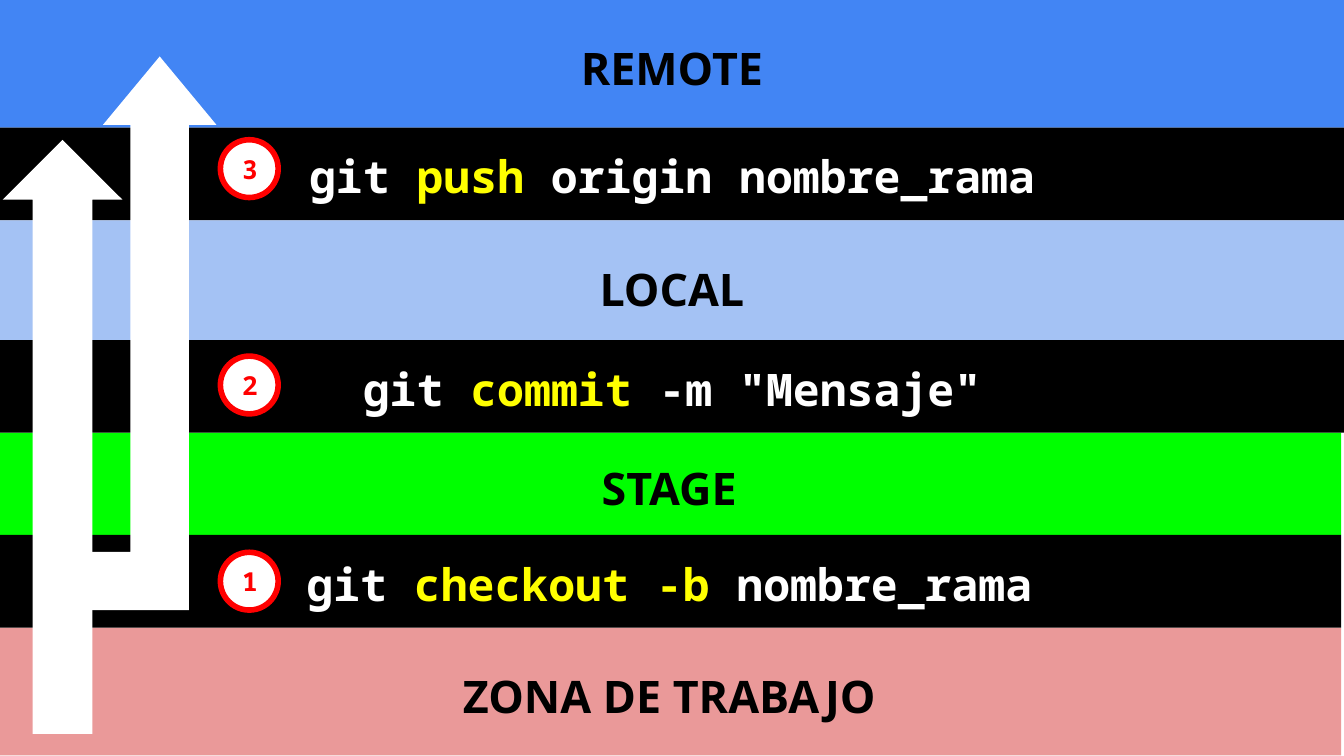
from pptx import Presentation
from pptx.dml.color import RGBColor
from pptx.enum.shapes import MSO_SHAPE as SHAPE
from pptx.enum.text import MSO_ANCHOR as ANCHOR, PP_ALIGN as ALIGN
from pptx.util import Inches, Pt

COLORS = {
    "remote": "4285F4",
    "local": "A4C2F4",
    "stage": "00FF00",
    "work": "EA9999",
    "black": "000000",
    "white": "FFFFFF",
    "keyword": "FFFF00",
    "badge": "FF0000",
}
SANS, MONO = "Open Sans", "Noto Sans Mono"


def rgb(name):
    return RGBColor.from_string(COLORS[name])


def write(sp, runs, font, size, align=ALIGN.CENTER, anchor=ANCHOR.MIDDLE,
          line_spacing=None, space_after=None):
    """Fill a shape with one bold paragraph of (text, colour) runs."""
    tf = sp.text_frame
    tf.word_wrap = True
    tf.vertical_anchor = anchor
    tf.margin_left = tf.margin_right = Inches(0.1)
    tf.margin_top = tf.margin_bottom = Inches(0.1)
    p = tf.paragraphs[0]
    p.alignment = align
    if line_spacing:
        p.line_spacing = line_spacing
    if space_after:
        p.space_after = Pt(space_after)
    for text, color in runs:
        r = p.add_run()
        r.text = text
        r.font.name = font
        r.font.size = Pt(size)
        r.font.bold = True
        r.font.color.rgb = rgb(color)


class GitSlide:
    band_text = dict(size=24, line_spacing=1.15, space_after=12)
    band_width = 10
    command_height = 0.69
    badge_size = 0.43

    def __init__(self, prs):
        self.s = prs.slides.add_slide(prs.slide_layouts[6])

    def shape(self, kind, box, fill):
        sp = self.s.shapes.add_shape(kind, *map(Inches, box))
        sp.shadow.inherit = False
        sp.fill.solid()
        sp.fill.fore_color.rgb = rgb(fill)
        sp.line.fill.background()
        return sp

    def zone(self, left, top, height, fill, name):
        box = (left, top, self.band_width, height)
        sp = self.shape(SHAPE.RECTANGLE, box, fill)
        write(sp, [(name, "black")], SANS, **self.band_text)

    def command(self, left, top, keyword, rest):
        box = (left, top, self.band_width, self.command_height)
        sp = self.shape(SHAPE.RECTANGLE, box, "black")
        runs = [("git ", "white"), (keyword + " ", "keyword"), (rest, "white")]
        write(sp, runs, MONO, anchor=ANCHOR.TOP, **self.band_text)

    def badge(self, top, number):
        box = (1.64, top, self.badge_size, self.badge_size)
        sp = self.shape(SHAPE.OVAL, box, "white")
        sp.line.color.rgb = rgb("badge")
        sp.line.width = Pt(3)
        write(sp, [(str(number), "badge")], MONO, 14, align=ALIGN.LEFT)

    def arrow(self, kind, box, adjustments):
        sp = self.shape(kind, box, "white")
        for i, value in enumerate(adjustments):
            sp.adjustments[i] = value


def main():
    prs = Presentation()
    prs.slide_width = Inches(10)
    prs.slide_height = Inches(10 * 9 / 16)
    slide = GitSlide(prs)

    slide.zone(-0.02, 4.67, 0.95, "work", "ZONA DE TRABAJO")
    slide.zone(-0.02, 3.22, 0.76, "stage", "STAGE")
    slide.zone(0, 0, 0.95, "remote", "REMOTE")
    slide.command(0, 0.95, "push", "origin nombre_rama")
    slide.command(-0.02, 3.98, "checkout -b", "nombre_rama")
    slide.zone(0, 1.64, 0.95, "local", "LOCAL")
    slide.command(0, 2.53, "commit", '-m "Mensaje"')

    slide.arrow(SHAPE.UP_ARROW, (0.02, 1.04, 0.89, 4.42), (0.5, 0.5))
    for number, top in enumerate((4.11, 2.65, 1.04), start=1):
        slide.badge(top, number)
    slide.arrow(SHAPE.BENT_UP_ARROW, (0.37, 0.42, 1.24, 4.12), (0.35, 0.34, 0.41))

    prs.save("out.pptx")


if __name__ == "__main__":
    main()
